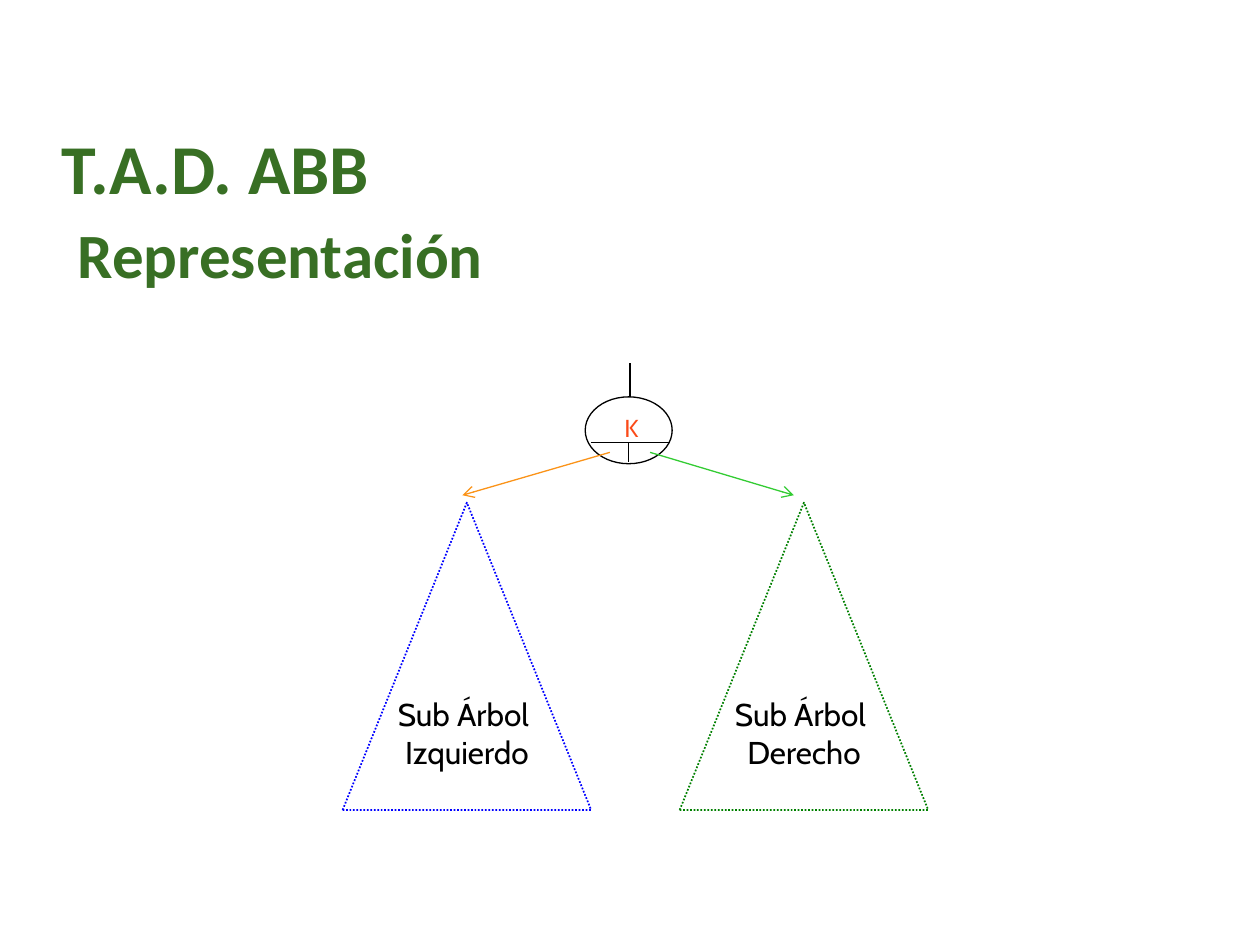
from lxml.etree import SubElement
from pptx import Presentation
from pptx.dml.color import RGBColor
from pptx.enum.dml import MSO_LINE as Dash
from pptx.enum.shapes import MSO_CONNECTOR as Connector, MSO_SHAPE as Shape
from pptx.enum.text import MSO_ANCHOR as Anchor, PP_ALIGN as Align
from pptx.oxml.ns import qn
from pptx.util import Pt


def color(value):
    return RGBColor.from_string(value)


def write(paragraph, text, hex_color, **formats):
    run = paragraph.add_run()
    run.text = text
    run.font.color.rgb = color(hex_color)
    for name, value in formats.items():
        setattr(run.font, name, value)


presentation = Presentation()
presentation.slide_width, presentation.slide_height = Pt(720), Pt(540)
slide = presentation.slides.add_slide(presentation.slide_layouts[6])

title = slide.shapes.add_textbox(Pt(35.3), Pt(71.3), Pt(650), Pt(97.2)).text_frame
margins = dict(margin_left=0, margin_top=0, margin_right=0, margin_bottom=0)
for name, value in {"word_wrap": True, **margins}.items():
    setattr(title, name, value)
for text, size in [("T.A.D. ABB \v ", 40), ("Representación", 36)]:
    paragraph = title.paragraphs[0]
    for index, part in enumerate(text.split("\v")):
        if index:
            paragraph.add_line_break()
        write(paragraph, part, "386F24", size=Pt(size), name="Calibri", bold=True)

nodes = [
    (Shape.OVAL, 334.4, 226.8, 49.7, 38.2, "000000", 0.75, Dash.SOLID,
     Anchor.TOP, True, [" K"], "FB4A18", 14),
    (Shape.ISOSCELES_TRIANGLE, 195.8, 287.2, 142, 175.6, "0000FF", 1, Dash.ROUND_DOT,
     Anchor.MIDDLE, False, ["Sub Árbol ", "Izquierdo"], "000000", 18),
    (Shape.ISOSCELES_TRIANGLE, 388.4, 287.2, 142, 175.6, "008000", 1, Dash.ROUND_DOT,
     Anchor.MIDDLE, False, ["Sub Árbol ", "Derecho"], "000000", 18),
]
for kind, left, top, width, height, outline, weight, dash, anchor, wrap, lines, ink, size in nodes:
    shape = slide.shapes.add_shape(kind, Pt(left), Pt(top), Pt(width), Pt(height))
    shape.shadow.inherit = False
    shape.fill.background()
    shape.line.color.rgb = color(outline)
    shape.line.width = Pt(weight)
    shape.line.dash_style = dash
    frame = shape.text_frame
    frame.vertical_anchor = anchor
    frame.word_wrap = wrap
    for index, text in enumerate(lines):
        paragraph = frame.add_paragraph() if index else frame.paragraphs[0]
        paragraph.alignment = Align.CENTER
        write(paragraph, text, ink, size=Pt(size), name="Cabin")

links = [
    (348.5, 258.5, 264.2, 283, "FB9318", True),
    (371.5, 258.5, 453.6, 283, "33CC33", True),
    (360, 226.8, 360, 207.4, "000000", False),
    (337.7, 252.7, 383, 252.7, "000000", False),
    (359.3, 252.7, 359.3, 264.2, "000000", False),
]
for x1, y1, x2, y2, ink, has_arrow in links:
    connector = slide.shapes.add_connector(Connector.STRAIGHT, Pt(x1), Pt(y1), Pt(x2), Pt(y2))
    connector.line.color.rgb = color(ink)
    connector.line.width = Pt(0.75)
    properties = connector._element.spPr
    if has_arrow:
        SubElement(properties.find(qn("a:ln")), qn("a:tailEnd"), type="arrow")
    SubElement(properties, qn("a:effectLst"))

presentation.save("out.pptx")
